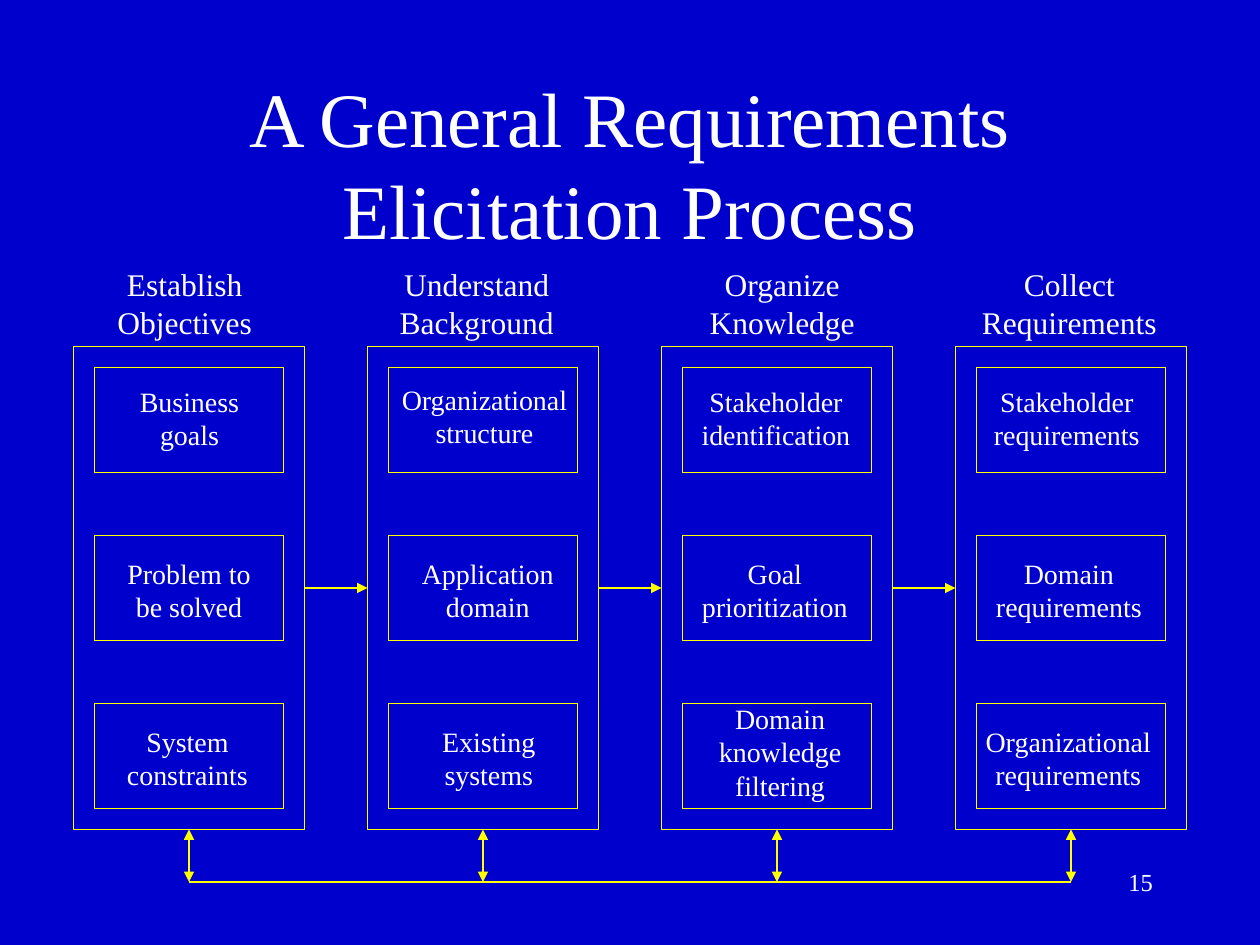
from dataclasses import dataclass
from itertools import pairwise

from pptx import Presentation
from pptx.dml.color import RGBColor
from pptx.enum.shapes import MSO_CONNECTOR as CONN, MSO_SHAPE as SHAPE
from pptx.enum.text import MSO_ANCHOR as ANCHOR, MSO_AUTO_SIZE as FIT, PP_ALIGN as ALIGN
from pptx.oxml.ns import qn
from pptx.util import Emu, Pt
from lxml.etree import SubElement

PX = 7620  # EMU per px, 120 px to the inch


@dataclass(frozen=True)
class Theme:
    background: RGBColor = RGBColor(0x00, 0x00, 0xCC)
    line: RGBColor = RGBColor(0xFF, 0xFF, 0x00)
    text: RGBColor = RGBColor(0xFF, 0xFF, 0xFF)
    font: str = "Times New Roman"
    title_size: int = 44
    heading_size: int = 18
    item_size: int = 16
    number_size: int = 14
    line_width: float = 0.75


@dataclass(frozen=True)
class Label:
    text: str
    x: int
    y: int
    w: int


@dataclass(frozen=True)
class Stage:
    heading: Label
    items: tuple[Label, ...]


THEME = Theme()

# Grid of stages and their boxes
STAGE_X, STAGE_Y, STAGE_W, STAGE_H, STAGE_STEP = 70, 330, 220, 460, 280
BOX_INSET, BOX_W, BOX_H, BOX_STEP = 20, 180, 100, 160
BUS_Y = 840
HEADING_Y, ROW_1, ROW_2, ROW_3 = 247, 360, 524, 684
LABEL_SLACK = 3  # room on each side so that no word breaks

STAGES = (
    Stage(Label("Establish\nObjectives", 100, HEADING_Y, 152), (
        Label("Business\ngoals", 121, ROW_1, 119),
        Label("Problem to\nbe solved", 109, ROW_2, 142),
        Label("System\nconstraints", 109, ROW_3, 139))),
    Stage(Label("Understand\nBackground", 369, HEADING_Y, 170), (
        Label("Organizational\nstructure", 371, ROW_1 - 2, 181),
        Label("Application\ndomain", 390, ROW_2, 149),
        Label("Existing\nsystems", 409, ROW_3, 113))),
    Stage(Label("Organize\nKnowledge", 664, HEADING_Y, 162), (
        Label("Stakeholder\nidentification", 656, ROW_1, 166),
        Label("Goal\nprioritization", 657, ROW_2, 162),
        Label("Domain\nknowledge\nfiltering", 673, ROW_3 - 22, 140))),
    Stage(Label("Collect\nRequirements", 923, HEADING_Y, 191), (
        Label("Stakeholder\nrequirements", 935, ROW_1, 162),
        Label("Domain\nrequirements", 937, ROW_2, 162),
        Label("Organizational\nrequirements", 927, ROW_3, 181))),
)


def px(*values: int) -> list[Emu]:
    return [Emu(v * PX) for v in values]


def style_line(line) -> None:
    line.color.rgb = THEME.line
    line.width = Pt(THEME.line_width)


def add_text(slide, text: str, x: int, y: int, w: int, h: int, *, size: int,
             align=ALIGN.CENTER, anchor=ANCHOR.TOP, wrap: bool = True) -> None:
    tf = slide.shapes.add_textbox(*px(x, y, w, h)).text_frame
    tf.word_wrap = wrap
    tf.auto_size = FIT.NONE if wrap else FIT.SHAPE_TO_FIT_TEXT
    tf.vertical_anchor = anchor
    tf.text = text
    for p in tf.paragraphs:
        p.alignment = align
        for r in p.runs:
            r.font.name = THEME.font
            r.font.size = Pt(size)
            r.font.color.rgb = THEME.text


def add_label(slide, label: Label, size: int) -> None:
    lines = label.text.count("\n") + 1
    height = 12 + lines * size * 2  # insets plus line heights
    add_text(slide, label.text, label.x - LABEL_SLACK, label.y,
             label.w + 2 * LABEL_SLACK, height, size=size, wrap=False)


def add_box(slide, x: int, y: int, w: int, h: int):
    sp = slide.shapes.add_shape(SHAPE.RECTANGLE, *px(x, y, w, h))
    sp.shadow.inherit = False
    sp.fill.background()
    style_line(sp.line)
    return sp


def add_line(slide, x1: int, y1: int, x2: int, y2: int, *,
             arrows: tuple[str, ...] = ()):
    cxn = slide.shapes.add_connector(CONN.STRAIGHT, *px(x1, y1, x2, y2))
    style_line(cxn.line)
    ln = cxn.line._get_or_add_ln()
    for end in arrows:
        SubElement(ln, qn(f"a:{end}"), type="triangle")
    SubElement(cxn._element.spPr, qn("a:effectLst"))
    return cxn


def add_stage(slide, index: int):
    x = STAGE_X + index * STAGE_STEP
    for row in range(len(STAGES[index].items)):
        add_box(slide, x + BOX_INSET, STAGE_Y + BOX_INSET + row * BOX_STEP, BOX_W, BOX_H)
    return add_box(slide, x, STAGE_Y, STAGE_W, STAGE_H)


def main() -> None:
    prs = Presentation()
    prs.slide_width, prs.slide_height = px(1200, 900)
    s = prs.slides.add_slide(prs.slide_layouts[6])
    s.background.fill.solid()
    s.background.fill.fore_color.rgb = THEME.background

    # Title
    add_text(s, "A General Requirements Elicitation Process", 90, 80, 1020, 150,
             size=THEME.title_size, anchor=ANCHOR.MIDDLE)

    # Stage frames with their boxes
    frames = [add_stage(s, i) for i in range(len(STAGES))]

    # Arrows from each stage to the next
    middle_y = STAGE_Y + STAGE_H // 2
    for i, (left, right) in enumerate(pairwise(frames)):
        start = STAGE_X + i * STAGE_STEP + STAGE_W
        cxn = add_line(s, start, middle_y, STAGE_X + (i + 1) * STAGE_STEP, middle_y,
                       arrows=("tailEnd",))
        cxn.begin_connect(left, 3)
        cxn.end_connect(right, 1)

    # Feedback line below, tied to every stage
    centers = [STAGE_X + STAGE_W // 2 + i * STAGE_STEP for i in range(len(STAGES))]
    add_line(s, centers[0], BUS_Y, centers[-1], BUS_Y)
    for x, frame in zip(centers, frames):
        cxn = add_line(s, x, BUS_Y, x, STAGE_Y + STAGE_H, arrows=("headEnd", "tailEnd"))
        cxn.end_connect(frame, 2)

    # Headings and item labels
    for stage in STAGES:
        add_label(s, stage.heading, THEME.heading_size)
        for item in stage.items:
            add_label(s, item, THEME.item_size)

    # Slide number
    add_text(s, "15", 860, 820, 250, 60, size=THEME.number_size, align=ALIGN.RIGHT)

    prs.save("out.pptx")


if __name__ == "__main__":
    main()
